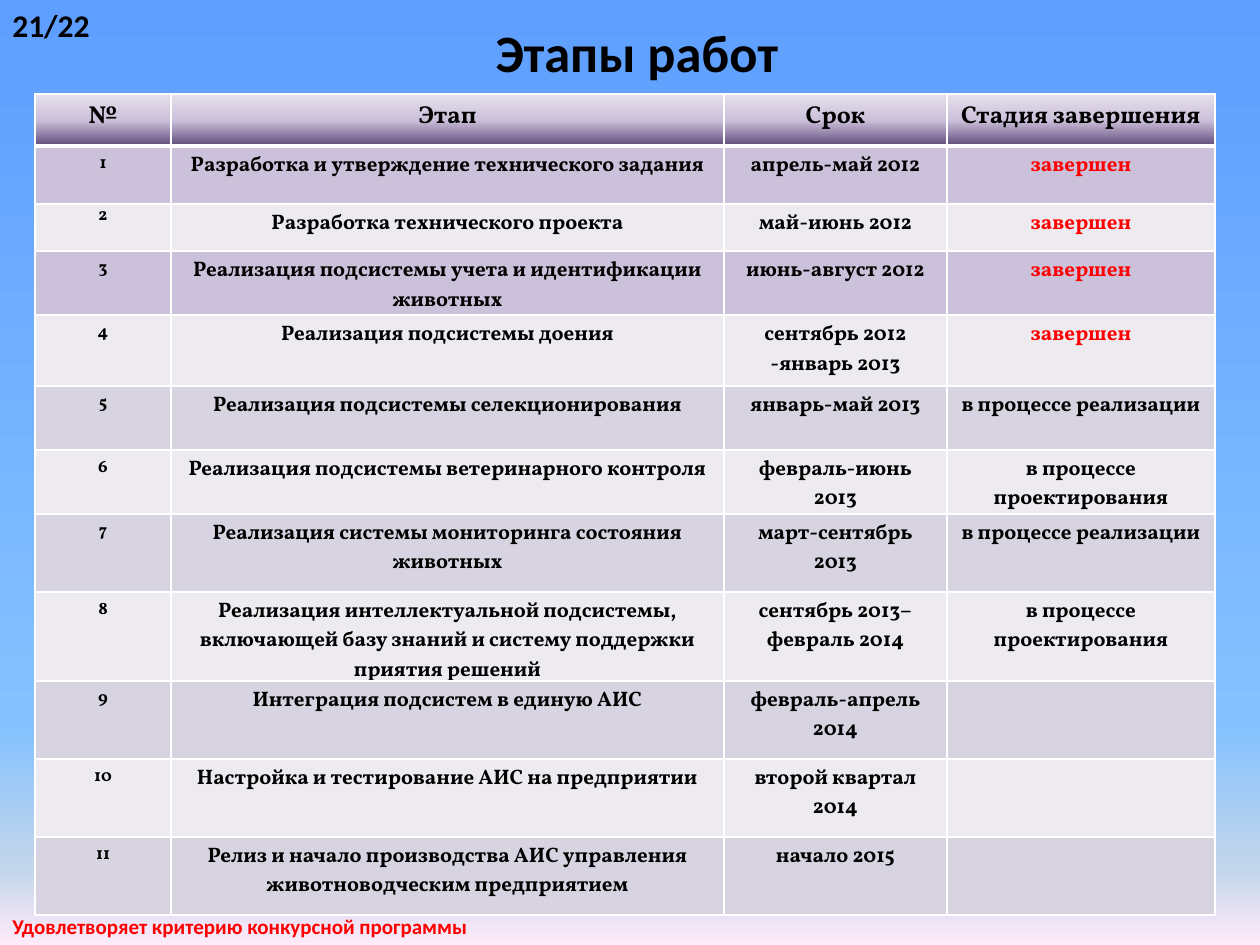
from lxml import etree
from pptx import Presentation, util as u
from pptx.dml.color import RGBColor
from pptx.enum import text
from pptx.oxml import ns

PX = 914400 // 126
BLACK, RED, WHITE = "000000", "FF0000", "FFFFFF"
LILAC, PALE, GREY = "CCC1DA", "EDEAF0", "D8D3E0"
DONE, BUILDING, DESIGNING = "завершен", "в процессе реализации", "в процессе проектирования"

COLUMNS = [136, 553, 223, 268]
HEADER = ["№", "Этап", "Срок", "Стадия завершения"]
HEADER_HEIGHT = 52
STAGES = [  # row height, stage, term, status
    (58, "Разработка и утверждение технического задания", "апрель-май 2012", DONE),
    (47, "Разработка технического проекта", "май-июнь 2012", DONE),
    (64, "Реализация подсистемы учета и идентификации животных", "июнь-август 2012", DONE),
    (71, "Реализация подсистемы доения", "сентябрь 2012 -январь 2013", DONE),
    (64, "Реализация подсистемы селекционирования", "январь-май 2013", BUILDING),
    (64, "Реализация подсистемы ветеринарного контроля", "февраль-июнь 2013", DESIGNING),
    (78, "Реализация системы мониторинга состояния животных", "март-сентябрь 2013", BUILDING),
    (89, "Реализация интеллектуальной подсистемы, включающей базу знаний и систему поддержки "
         "приятия решений", "сентябрь 2013–февраль 2014", DESIGNING),
    (78, "Интеграция подсистем в единую АИС", "февраль-апрель 2014", ""),
    (78, "Настройка и тестирование АИС на предприятии", "второй квартал 2014", ""),
    (78, "Релиз и начало производства АИС управления животноводческим предприятием",
     "начало 2015", ""),
]


def add_run(paragraph, words, size, color, font="Calibri"):
    run = paragraph.add_run()
    run.text = words
    run.font.size = u.Pt(size)
    run.font.bold = True
    run.font.name = font
    run.font.color.rgb = RGBColor.from_string(color)


def add_gradient(properties, stops):
    """Append a top-to-bottom gradient of (percent, colour) stops."""
    gradient = etree.SubElement(properties, ns.qn("a:gradFill"), rotWithShape="1")
    stop_list = etree.SubElement(gradient, ns.qn("a:gsLst"))
    for percent, color in stops:
        stop = etree.SubElement(stop_list, ns.qn("a:gs"), pos=str(percent * 1000))
        etree.SubElement(stop, ns.qn("a:srgbClr"), val=color)
    etree.SubElement(gradient, ns.qn("a:lin"), ang="5400000", scaled="0")


presentation = Presentation()
presentation.slide_width = 1260 * PX
presentation.slide_height = 945 * PX
slide = presentation.slides.add_slide(presentation.slide_layouts[6])

background = slide.background.fill
background.solid()
background.fore_color.rgb = RGBColor.from_string(WHITE)
background_properties = slide.element.cSld.find(ns.qn("p:bg")).find(ns.qn("p:bgPr"))
background_properties.remove(background_properties[0])
add_gradient(background_properties, [(0, "5E9EFF"), (77, "85C2FF"), (92, "C4D6EB"), (100, "FFEBFA")])
background_properties.insert(0, background_properties[-1])

LEFT, CENTER = text.PP_ALIGN.LEFT, text.PP_ALIGN.CENTER
TOP, MIDDLE = text.MSO_ANCHOR.TOP, text.MSO_ANCHOR.MIDDLE
for left, top, width, height, words, size, color, align, anchor, wrap in [
    (60, -6, 1154, 116, "Этапы работ", 30, BLACK, CENTER, MIDDLE, True),
    (0, 0, 103, 50, "21/22", 18, BLACK, LEFT, TOP, False),
    (0, 907, 485, 38, "Удовлетворяет критерию конкурсной программы", 12, RED, LEFT, TOP, False),
]:
    frame = slide.shapes.add_textbox(left * PX, top * PX, width * PX, height * PX).text_frame
    frame.word_wrap = wrap
    frame.vertical_anchor = anchor
    frame.paragraphs[0].alignment = align
    add_run(frame.paragraphs[0], words, size, color)

heights = [HEADER_HEIGHT] + [stage[0] for stage in STAGES]
rows = [HEADER] + [[str(number), *stage[1:]] for number, stage in enumerate(STAGES, 1)]
table = slide.shapes.add_table(len(rows), len(COLUMNS), 35 * PX, 94 * PX,
                               sum(COLUMNS) * PX, sum(heights) * PX).table
for column, width in zip(table.columns, COLUMNS):
    column.width = width * PX
for row, height in zip(table.rows, heights):
    row.height = height * PX

for r, values in enumerate(rows):
    for c, value in enumerate(values):
        cell = table.cell(r, c)
        cell.margin_top = 0 if (r, c) == (2, 0) else 6 * PX
        cell.margin_bottom = 0
        paragraph = cell.text_frame.paragraphs[0]
        paragraph.alignment = CENTER
        if value:
            size = 14 if r == 0 else 10 if c == 0 else 12
            add_run(paragraph, value, size, RED if value == DONE else BLACK, "Vollkorn")

        properties = cell._tc.get_or_add_tcPr()
        for side in "LRTB":
            thick = (r == 0 and side == "B") or (r == 1 and side == "T")
            line = etree.SubElement(properties, ns.qn(f"a:ln{side}"), w=str(u.Pt(3 if thick else 1)))
            line_fill = etree.SubElement(line, ns.qn("a:solidFill"))
            etree.SubElement(line_fill, ns.qn("a:srgbClr"), val=WHITE)
        if r == 0:
            add_gradient(properties, [(0, "E6E0EC"), (50, LILAC), (100, "604A7B")])
        else:
            cell.fill.solid()
            color = PALE if r % 2 == 0 else LILAC if r < 5 else GREY
            cell.fill.fore_color.rgb = RGBColor.from_string(color)

presentation.save("out.pptx")
